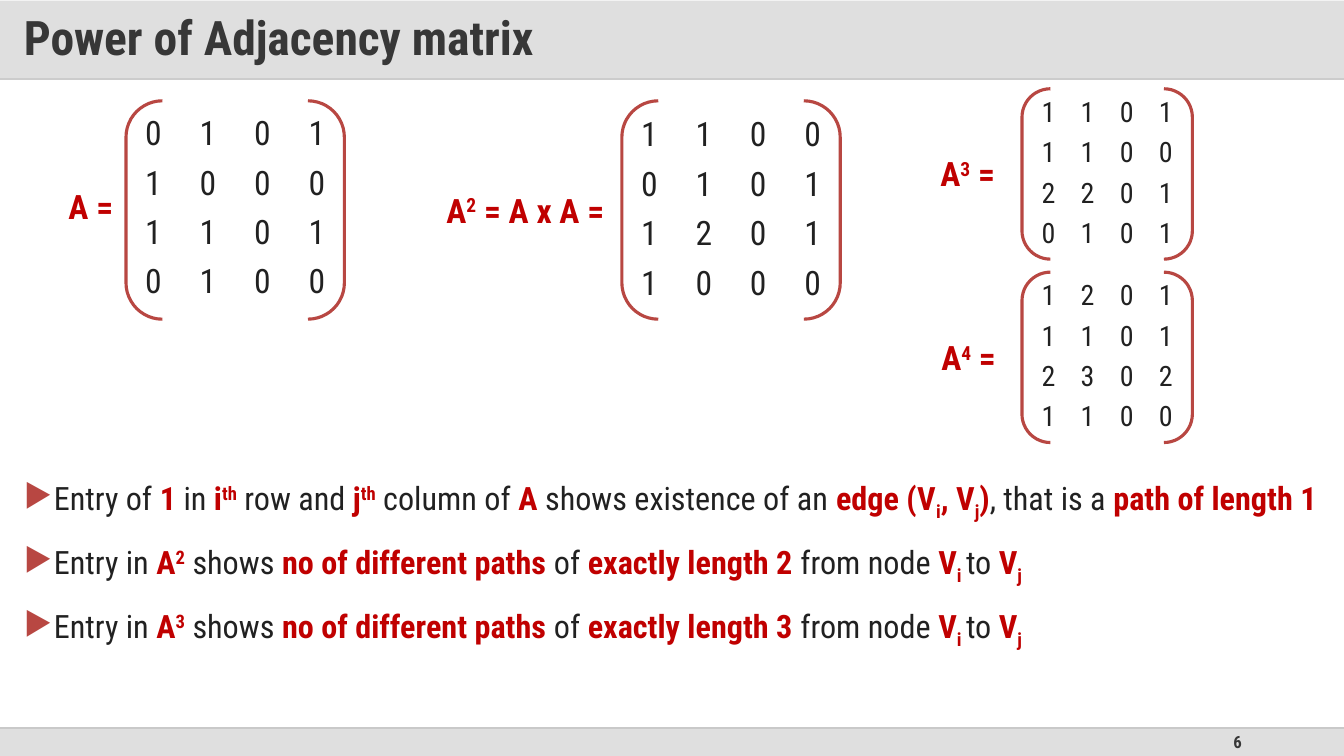
from lxml import etree
from pptx import Presentation
from pptx.dml.color import RGBColor
from pptx.enum.shapes import MSO_CONNECTOR, MSO_SHAPE
from pptx.enum.text import MSO_ANCHOR, PP_ALIGN
from pptx.oxml.ns import qn
from pptx.util import Pt

RECTANGLE, BRACKETS = MSO_SHAPE.RECTANGLE, MSO_SHAPE.DOUBLE_BRACKET
STRAIGHT = MSO_CONNECTOR.STRAIGHT
MIDDLE, TOP = MSO_ANCHOR.MIDDLE, MSO_ANCHOR.TOP
LEFT, CENTER, RIGHT, JUSTIFY = (
    PP_ALIGN.LEFT, PP_ALIGN.CENTER, PP_ALIGN.RIGHT, PP_ALIGN.JUSTIFY)

FONT = "Roboto Condensed"
COLORS = {"band": "DFDFDF", "header_rule": "CCCCCC", "footer_rule": "C9C9C9",
          "heading": "373737", "body": "212121", "key": "C00000", "accent": "B84742"}
# Run style: colour, bold, baseline shift in thousandths of a percent
STYLES = {"heading": ("heading", True, 0), "plain": ("body", False, 0),
          "key": ("key", True, 0), "sup": ("key", True, 30000),
          "sub": ("key", True, -25000)}
NO_TABLE_STYLE = "{2D5ABB26-0587-4C30-8999-92F81FD0307C}"
SLIDE_WIDTH, SLIDE_HEIGHT = 960, 540
HEADER_HEIGHT, FOOTER_TOP = 56.5, 520

# Size settings: bracket side, column width, font size, cell side margin
LARGE = (156, 38.9, 24, 5)
SMALL = (121.7, 27.9, 20, 5)
# Label runs, label box, bracket left and top, gap above rows, row height, sizes, entries
MATRICES = [
    ([("A =", "key")], (41.8, 129.6, 46.8, 36), (90, 72), 6.5, 35.1, LARGE,
     ["0101", "1000", "1101", "0100"]),
    ([("A", "key"), ("2", "sup"), (" = A x A =", "key")], (311.8, 131.8, 129.6, 36),
     (444.2, 72), 6.5, 35.6, LARGE, ["1100", "0101", "1201", "1000"]),
    ([("A", "key"), ("3", "sup"), (" =", "key")], (664.6, 105.8, 63.4, 36),
     (730, 63.4), 2.9, 28.8, SMALL, ["1101", "1100", "2201", "0101"]),
    ([("A", "key"), ("4", "sup"), (" =", "key")], (665.3, 236.9, 61.2, 36),
     (730, 194.4), 2.9, 28.8, SMALL, ["1201", "1101", "2302", "1100"]),
]


def path_statement(power):
    return [("Entry in ", "plain"), ("A", "key"), (power, "sup"), (" shows ", "plain"),
            ("no of different paths", "key"), (" of ", "plain"),
            (f"exactly length {power} ", "key"), ("from node ", "plain"),
            ("V", "key"), ("i ", "sub"), ("to ", "plain"), ("V", "key"), ("j", "sub")]


STATEMENTS = [
    [("Entry of ", "plain"), ("1 ", "key"), ("in ", "plain"), ("i", "key"), ("th", "sup"),
     (" row and ", "plain"), ("j", "key"), ("th", "sup"), (" column of ", "plain"),
     ("A", "key"), (" shows existence of an ", "plain"), ("edge (V", "key"), ("i", "sub"),
     (", V", "key"), ("j", "sub"), (")", "key"), (", that is a ", "plain"),
     ("path of length 1", "key")],
    path_statement("2"),
    path_statement("3"),
]


def rgb(name):
    return RGBColor.from_string(COLORS[name])


def add_runs(paragraph, runs, size):
    for text, style in runs:
        color, bold, baseline = STYLES[style]
        run = paragraph.add_run()
        run.text = text
        run.font.name = FONT
        run.font.size = Pt(size)
        run.font.bold = bold
        run.font.color.rgb = rgb(color)
        if baseline:
            run.font._element.set("baseline", str(baseline))


def add_text(slide, box, runs, size, align=LEFT, anchor=TOP, wrap=True):
    frame = slide.shapes.add_textbox(*map(Pt, box)).text_frame
    frame.word_wrap = wrap
    frame.vertical_anchor = anchor
    frame.paragraphs[0].alignment = align
    add_runs(frame.paragraphs[0], runs, size)
    return frame


def add_band(slide, top, height):
    band = slide.shapes.add_shape(RECTANGLE, 0, Pt(top), Pt(SLIDE_WIDTH), Pt(height))
    band.shadow.inherit = False
    band.fill.solid()
    band.fill.fore_color.rgb = rgb("band")
    band.line.fill.background()


def add_rule(slide, top, color):
    rule = slide.shapes.add_connector(STRAIGHT, 0, Pt(top), Pt(SLIDE_WIDTH), Pt(top))
    rule.line.color.rgb = rgb(color)
    rule.line.width = Pt(1)
    etree.SubElement(rule._element.spPr, qn("a:effectLst"))


def add_entries(slide, left, top, column_width, row_height, size, margin, rows):
    count = len(rows[0])
    frame = slide.shapes.add_table(len(rows), count, Pt(left), Pt(top),
                                   Pt(column_width * count), Pt(row_height * len(rows)))
    table = frame.table
    table.first_row = table.horz_banding = False
    table._tbl.tblPr.find(qn("a:tableStyleId")).text = NO_TABLE_STYLE
    for column in table.columns:
        column.width = Pt(column_width)
    for row, entries in zip(table.rows, rows):
        row.height = Pt(row_height)
        for cell, entry in zip(row.cells, entries):
            cell.fill.background()
            cell.vertical_anchor = MIDDLE
            cell.margin_left = cell.margin_right = Pt(margin)
            cell.margin_top = cell.margin_bottom = Pt(2)
            paragraph = cell.text_frame.paragraphs[0]
            paragraph.alignment = CENTER
            add_runs(paragraph, [(entry, "plain")], size)


def add_matrix(slide, label, label_box, corner, gap, row_height, sizes, rows):
    left, top = corner
    side, column_width, size, margin = sizes
    inset = (side - column_width * len(rows[0])) / 2
    add_entries(slide, left + inset, top + gap, column_width, row_height, size, margin, rows)
    brackets = slide.shapes.add_shape(BRACKETS, Pt(left), Pt(top), Pt(side), Pt(side))
    brackets.shadow.inherit = False
    brackets.fill.background()
    brackets.line.color.rgb = rgb("accent")
    brackets.line.width = Pt(2.25)
    add_text(slide, label_box, label, 24, wrap=False)


def add_bullet(paragraph):
    properties = paragraph._p.get_or_add_pPr()
    properties.set("marL", str(Pt(21)))
    properties.set("indent", str(-Pt(21)))
    bullet_color = etree.SubElement(properties, qn("a:buClr"))
    etree.SubElement(bullet_color, qn("a:srgbClr"), val=COLORS["accent"])
    etree.SubElement(properties, qn("a:buChar"), char="▶")


def add_statements(slide, box, statements):
    frame = slide.shapes.add_textbox(*map(Pt, box)).text_frame
    frame.word_wrap = True
    for index, runs in enumerate(statements):
        paragraph = frame.add_paragraph() if index else frame.paragraphs[0]
        add_bullet(paragraph)
        paragraph.alignment = JUSTIFY
        paragraph.line_spacing = 1.14
        if index:
            paragraph.space_before = Pt(10)
        add_runs(paragraph, runs, 23)


def main():
    deck = Presentation()
    deck.slide_width, deck.slide_height = Pt(SLIDE_WIDTH), Pt(SLIDE_HEIGHT)
    slide = deck.slides.add_slide(deck.slide_layouts[6])

    add_band(slide, 0.5, HEADER_HEIGHT - 0.5)
    add_rule(slide, HEADER_HEIGHT, "header_rule")
    title = add_text(slide, (0, 0.5, SLIDE_WIDTH, HEADER_HEIGHT - 0.5),
                     [("Power of Adjacency matrix", "heading")], 34, anchor=MIDDLE)
    title.margin_left = title.margin_right = Pt(17)
    title.paragraphs[0].line_spacing = 0.9

    footer_height = SLIDE_HEIGHT - FOOTER_TOP
    add_band(slide, FOOTER_TOP, footer_height)
    add_rule(slide, FOOTER_TOP, "footer_rule")
    add_text(slide, (678.2, FOOTER_TOP, 216, footer_height), [("6", "heading")], 12,
             align=RIGHT, anchor=MIDDLE)

    for matrix in MATRICES:
        add_matrix(slide, *matrix)
    add_statements(slide, (10, 333.4, 939.6, 140.4), STATEMENTS)
    deck.save("out.pptx")


if __name__ == "__main__":
    main()
